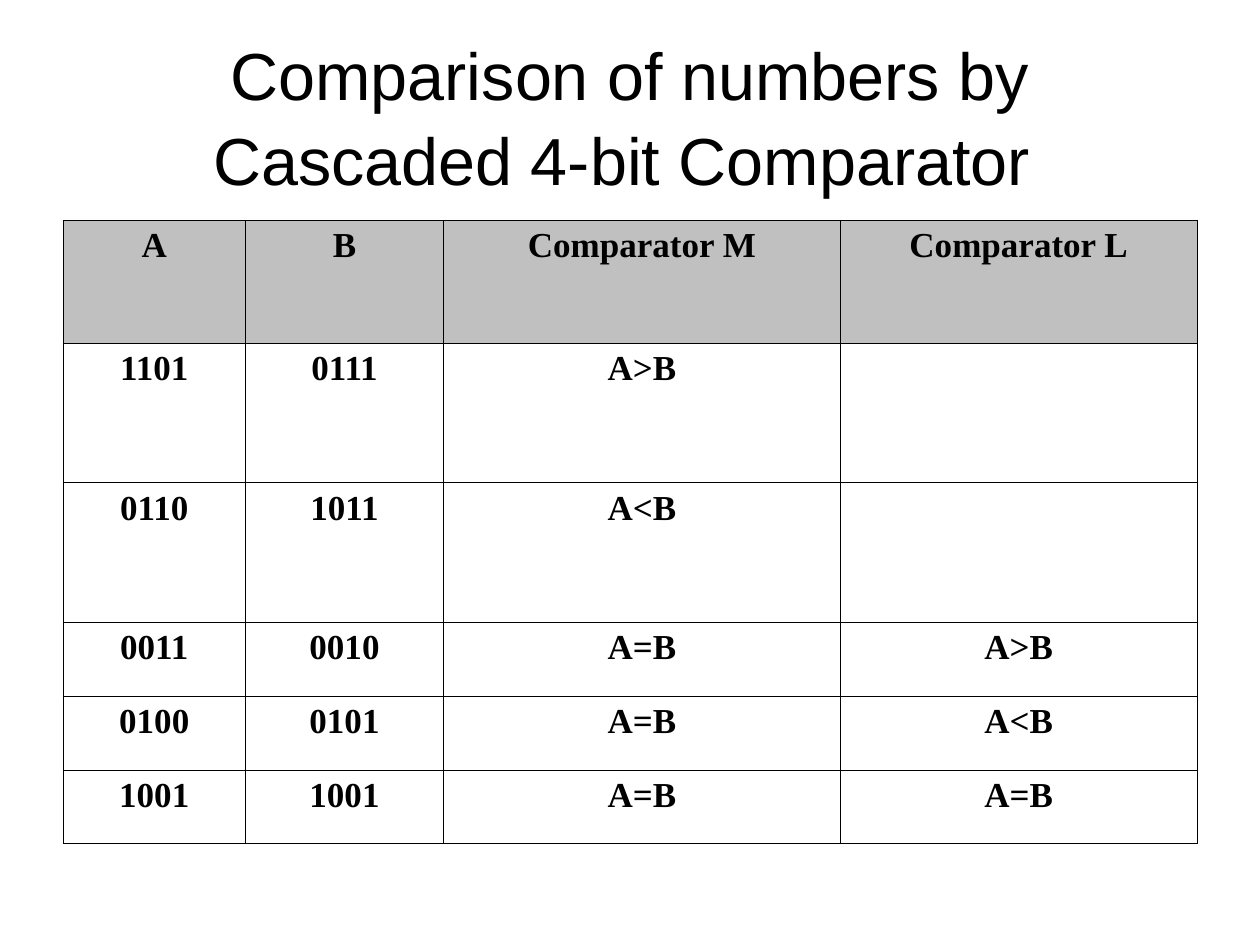
from pptx import Presentation
from pptx.dml.color import RGBColor
from pptx.enum.text import MSO_ANCHOR, MSO_AUTO_SIZE, PP_ALIGN
from pptx.oxml import parse_xml
from pptx.oxml.ns import nsdecls
from pptx.util import Cm, Pt

BLACK = RGBColor(0x00, 0x00, 0x00)
GREY = RGBColor(0xC0, 0xC0, 0xC0)

COLUMN_WIDTHS = [3.68, 3.99, 8.0, 7.19]
ROW_HEIGHTS = [2.48, 2.81, 2.81, 1.49, 1.49, 1.49]
COMPARISONS = [
    ["A", "B", "Comparator M", "Comparator L"],
    ["1101", "0111", "A>B", ""],
    ["0110", "1011", "A<B", ""],
    ["0011", "0010", "A=B", "A>B"],
    ["0100", "0101", "A=B", "A<B"],
    ["1001", "1001", "A=B", "A=B"],
]


class SlideBuilder:
    title_font = "Arial"
    table_font = "Times New Roman"
    border_width = Pt(0.45)

    def __init__(self, deck):
        self.page = deck.slides.add_slide(deck.slide_layouts[5])

    def style(self, font, name, size, bold=False):
        font.name = name
        font.size = Pt(size)
        font.bold = bold
        font.color.rgb = BLACK

    def title(self, text, left, top, width, height):
        box = self.page.shapes.title
        box.left, box.top, box.width, box.height = map(Cm, (left, top, width, height))
        frame = box.text_frame
        frame.text = text
        frame.word_wrap = True
        frame.auto_size = MSO_AUTO_SIZE.NONE
        frame.vertical_anchor = MSO_ANCHOR.MIDDLE
        para = frame.paragraphs[0]
        para.alignment = PP_ALIGN.CENTER
        self.style(para.runs[0].font, self.title_font, 38)
        # The larger closing space sets the height of the last line
        span = para.add_run()
        span.text = " "
        self.style(span.font, "Calibri", 41)

    def border(self, cell):
        properties = cell._tc.get_or_add_tcPr()
        for side in ("lnL", "lnR", "lnT", "lnB"):
            properties.append(parse_xml(
                f'<a:{side} {nsdecls("a")} w="{self.border_width}"><a:solidFill>'
                f'<a:srgbClr val="{BLACK}"/></a:solidFill></a:{side}>'))

    def cell(self, cell, text, is_header):
        self.border(cell)
        if is_header:
            cell.fill.solid()
            cell.fill.fore_color.rgb = GREY
        else:
            cell.fill.background()
        cell.text_frame.text = text
        para = cell.text_frame.paragraphs[0]
        para.alignment = PP_ALIGN.CENTER
        self.style(para.font, self.table_font, 20, bold=True)
        for span in para.runs:
            self.style(span.font, self.table_font, 20, bold=True)

    def table(self, rows, left, top, widths, heights):
        table = self.page.shapes.add_table(
            len(rows), len(widths), Cm(left), Cm(top),
            Cm(sum(widths)), Cm(sum(heights))).table
        table.horz_banding = False
        for column, width in zip(table.columns, widths):
            column.width = Cm(width)
        for row, height in zip(table.rows, heights):
            row.height = Cm(height)
        for row_index, row in enumerate(rows):
            for column_index, text in enumerate(row):
                self.cell(table.cell(row_index, column_index), text, row_index == 0)


def main():
    deck = Presentation()
    deck.slide_width, deck.slide_height = Cm(25.4), Cm(19.05)
    builder = SlideBuilder(deck)

    # Title
    builder.title("Comparison of numbers by Cascaded 4-bit Comparator",
                  1.27, 0.76, 22.86, 3.18)

    # Comparison table
    builder.table(COMPARISONS, 1.27, 4.44, COLUMN_WIDTHS, ROW_HEIGHTS)

    deck.save("out.pptx")


if __name__ == "__main__":
    main()
